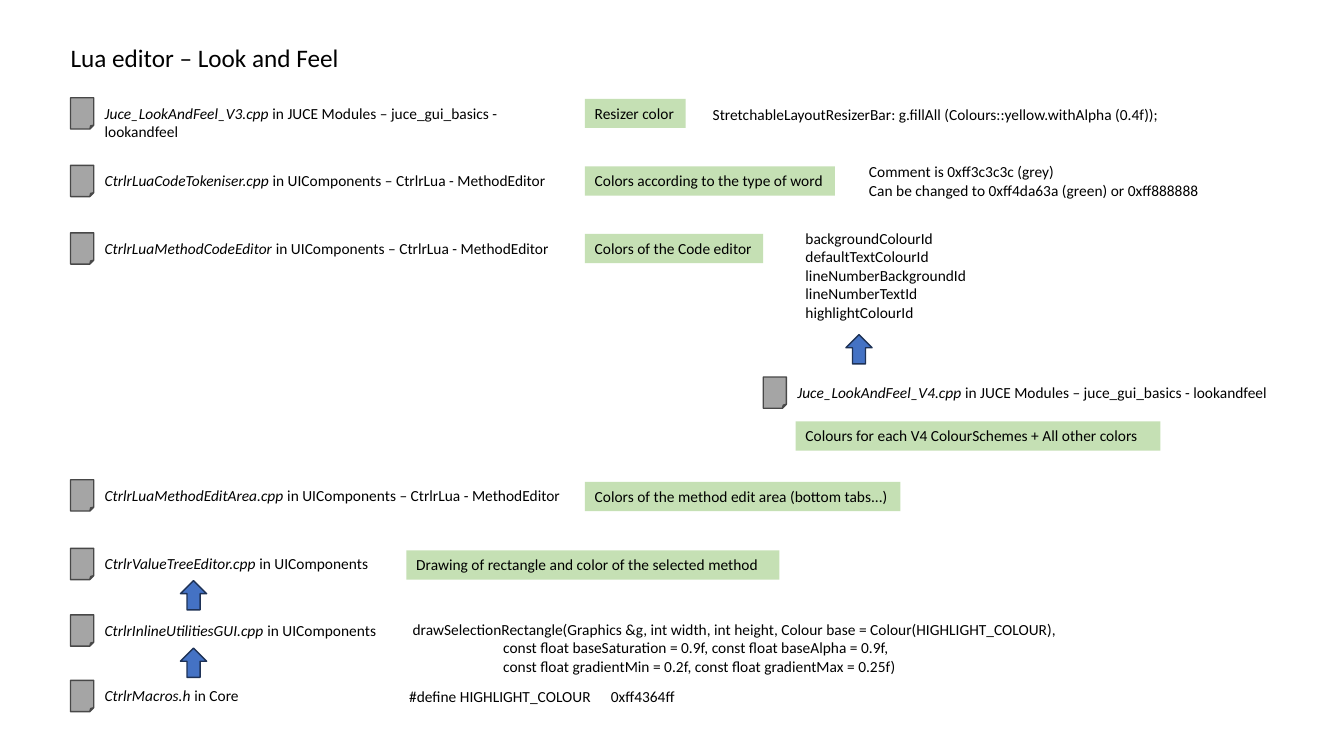
from pptx import Presentation
from pptx.dml.color import RGBColor
from pptx.enum.shapes import MSO_SHAPE
from pptx.enum.text import MSO_ANCHOR, MSO_AUTO_SIZE, PP_ALIGN
from pptx.util import Inches, Pt


def color(hex_string):
    return RGBColor.from_string(hex_string)


def write(shape, paragraphs, size=11, wrap=False):
    """Each paragraph is a list of (text, italic) runs."""
    frame = shape.text_frame
    frame.word_wrap = wrap
    frame.auto_size = MSO_AUTO_SIZE.SHAPE_TO_FIT_TEXT
    frame.vertical_anchor = MSO_ANCHOR.TOP
    for index, runs in enumerate(paragraphs):
        paragraph = frame.paragraphs[0] if index == 0 else frame.add_paragraph()
        paragraph.alignment = PP_ALIGN.LEFT
        for text, italic in runs:
            run = paragraph.add_run()
            run.text = text
            run.font.name = "Calibri"
            run.font.size = Pt(size)
            run.font.italic = italic
            run.font.color.rgb = color("000000")


presentation = Presentation()
presentation.slide_width = Inches(13.33)
presentation.slide_height = Inches(7.5)
slide = presentation.slides.add_slide(presentation.slide_layouts[5])
shapes = slide.shapes

# Title
title = shapes.title
title.left, title.top = Inches(0.6), Inches(0.37)
title.width, title.height = Inches(2.9), Inches(0.4)
write(title, [[("Lua editor – Look and Feel", False)]], size=18)

# Source files: icon left, icon top, text width, file name, location, wrap
method_editor = "in UIComponents – CtrlrLua - MethodEditor"
look_and_feel = "in JUCE Modules – juce_gui_basics - lookandfeel"
source_files = [
    (0.7, 0.97, 4.6, "Juce_LookAndFeel_V3.cpp ", look_and_feel, True),
    (0.7, 1.64, 4.62, "CtrlrLuaCodeTokeniser.cpp ", method_editor, False),
    (0.7, 2.31, 4.63, "CtrlrLuaMethodCodeEditor ", method_editor, False),
    (7.57, 3.74, 4.89, "Juce_LookAndFeel_V4.cpp ", look_and_feel, False),
    (0.7, 4.76, 4.74, "CtrlrLuaMethodEditArea.cpp ", method_editor, False),
    (0.7, 5.44, 2.85, "CtrlrValueTreeEditor.cpp ", "in UIComponents", False),
    (0.7, 6.1, 2.9, "CtrlrInlineUtilitiesGUI.cpp ", "in UIComponents", False),
    (0.7, 6.75, 1.54, "CtrlrMacros.h ", "in Core", False),
]
for left, top, width, file_name, location, wrap in source_files:
    icon = shapes.add_shape(MSO_SHAPE.FOLDED_CORNER, Inches(left), Inches(top),
                            Inches(0.23), Inches(0.31))
    icon.shadow.inherit = False
    icon.fill.solid()
    icon.fill.fore_color.rgb = color("A5A5A5")
    icon.line.color.rgb = color("484848")
    icon.line.width = Pt(1)
    caption = shapes.add_textbox(Inches(left + 0.24), Inches(top + 0.01),
                                 Inches(width), Inches(0.29))
    write(caption, [[(file_name, True), (location, False)]], wrap=wrap)

# Green labels: left, top, width, text, wrap
labels = [
    (5.8, 0.98, 1, "Resizer color", False),
    (5.8, 1.65, 2.48, "Colors according to the type of word", False),
    (5.8, 2.32, 1.77, "Colors of the Code editor", False),
    (7.89, 4.18, 3.62, "Colours for each V4 ColourSchemes + All other colors", True),
    (5.8, 4.78, 3.13, "Colors of the method edit area (bottom tabs...)", False),
    (4.03, 5.46, 3.7, "Drawing of rectangle and color of the selected method", True),
]
for left, top, width, text, wrap in labels:
    label = shapes.add_shape(MSO_SHAPE.RECTANGLE, Inches(left), Inches(top),
                             Inches(width), Inches(0.29))
    label.shadow.inherit = False
    label.fill.solid()
    label.fill.fore_color.rgb = color("C5E0B4")
    label.line.fill.background()
    write(label, [[(text, False)]], wrap=wrap)

# Details and code: left, top, width, height, lines
details = [
    (6.97, 0.99, 4.68, 0.29,
     ["StretchableLayoutResizerBar: g.fillAll (Colours::yellow.withAlpha (0.4f));"]),
    (8.52, 1.56, 3.51, 0.47,
     ["Comment is 0xff3c3c3c (grey)",
      "Can be changed to 0xff4da63a (green) or 0xff888888"]),
    (7.89, 2.22, 1.81, 1.03,
     ["backgroundColourId", "defaultTextColourId", "lineNumberBackgroundId",
      "lineNumberTextId", "highlightColourId"]),
    (3.96, 6.1, 6.67, 0.66,
     [" drawSelectionRectangle(Graphics &g, int width, int height, "
      "Colour base = Colour(HIGHLIGHT_COLOUR),",
      "                           const float baseSaturation = 0.9f, const float baseAlpha = 0.9f,",
      "                           const float gradientMin = 0.2f, const float gradientMax = 0.25f)"]),
    (3.96, 6.77, 2.87, 0.29, ["#define HIGHLIGHT_COLOUR\t0xff4364ff"]),
]
for left, top, width, height, lines in details:
    detail = shapes.add_textbox(Inches(left), Inches(top), Inches(width), Inches(height))
    write(detail, [[(line, False)] for line in lines])

# Upward arrows
for left, top in [(8.39, 3.32), (1.79, 5.76), (1.79, 6.43)]:
    arrow = shapes.add_shape(MSO_SHAPE.UP_ARROW, Inches(left), Inches(top),
                             Inches(0.26), Inches(0.29))
    arrow.shadow.inherit = False
    arrow.fill.solid()
    arrow.fill.fore_color.rgb = color("4472C4")
    arrow.line.color.rgb = color("1E3256")
    arrow.line.width = Pt(1)

presentation.save("out.pptx")
